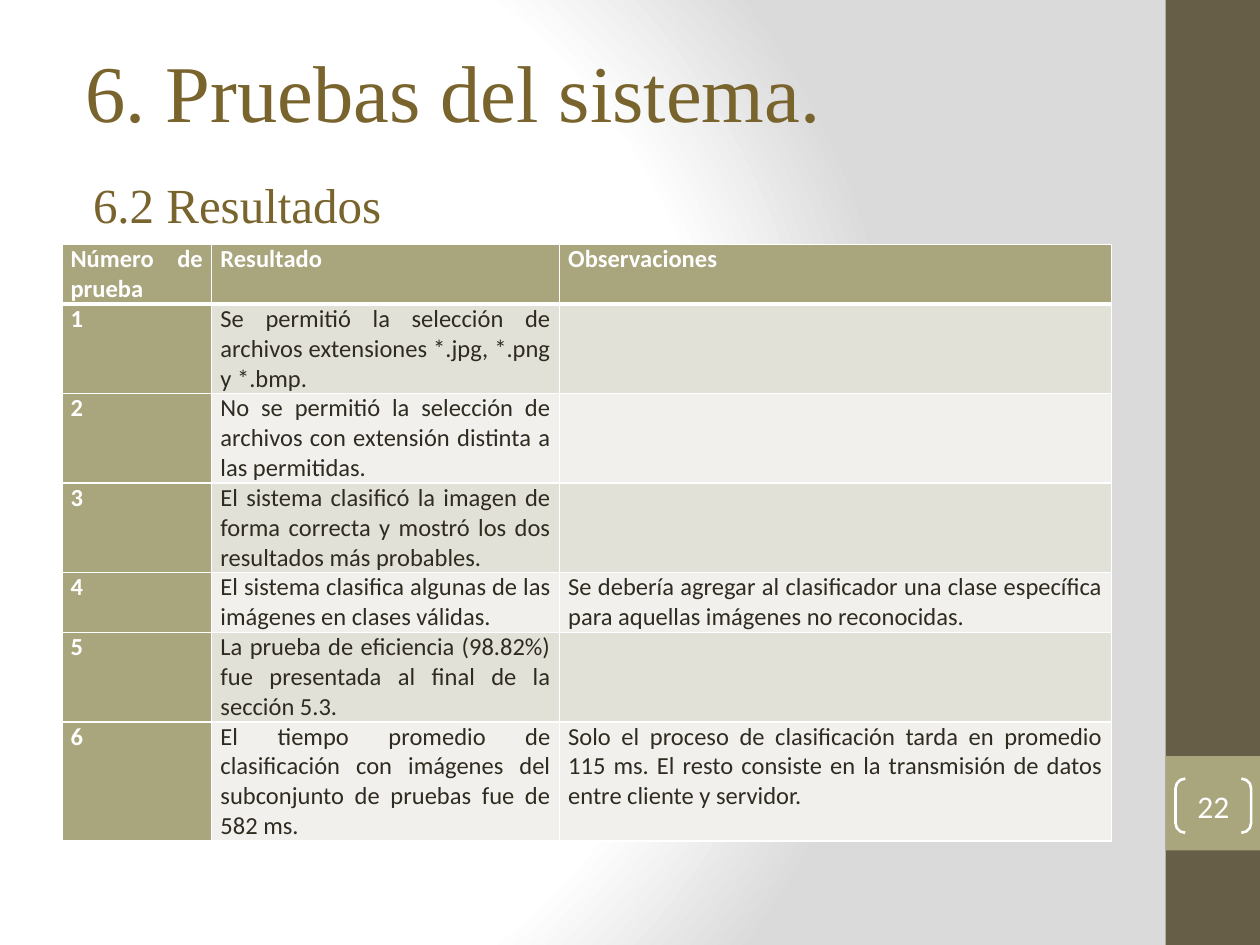
import pptx
import pptx.util
import pptx.oxml
import pptx.oxml.ns
import pptx.dml.color
import pptx.enum.text
import pptx.enum.shapes
import lxml.etree

Inches = pptx.util.Inches
Pt = pptx.util.Pt
Align = pptx.enum.text.PP_ALIGN
Anchor = pptx.enum.text.MSO_ANCHOR
Shapes = pptx.enum.shapes.MSO_SHAPE
qn = pptx.oxml.ns.qn

THEME = {
    "white": "FFFFFF", "shade": "DADADA", "sidebar": "675E47", "accent": "A9A57C",
    "heading": "79642D", "ink": "2F2B20", "bands": ("E2E1D7", "F1F0EC"),
    "heading_font": "Times New Roman", "body_font": "Calibri",
    "title_size": 46, "subtitle_size": 28, "table_size": 14, "number_size": 18,
}


def rgb(value):
    return pptx.dml.color.RGBColor.from_string(value)


def style_text(frame, align, font, size, color, bold=False):
    for paragraph in frame.paragraphs:
        paragraph.alignment = align
        paragraph.font.size = Pt(size)
        for run in paragraph.runs:
            run.font.name = font
            run.font.size = Pt(size)
            run.font.color.rgb = rgb(color)
            run.font.bold = bold


deck = pptx.Presentation()
deck.slide_width = Inches(10)
deck.slide_height = Inches(7.5)
slide = deck.slides.add_slide(deck.slide_layouts[6])

stops = "".join(
    f'<a:gs pos="{position * 1000}"><a:srgbClr val="{THEME[color]}"/></a:gs>'
    for position, color in ((0, "white"), (75, "white"), (100, "shade"))
)
background = pptx.oxml.parse_xml(
    f'<p:bg {pptx.oxml.ns.nsdecls("p", "a")}><p:bgPr><a:gradFill rotWithShape="1">'
    f'<a:gsLst>{stops}</a:gsLst><a:path path="circle">'
    '<a:fillToRect l="20000" t="50000" r="100000" b="50000"/></a:path>'
    '</a:gradFill><a:effectLst/></p:bgPr></p:bg>'
)
slide.element.cSld.insert(0, background)

for top, height, color in ((0, 7.5, "sidebar"), (6, 0.75, "accent")):
    band = slide.shapes.add_shape(
        Shapes.RECTANGLE, Inches(9.25), Inches(top), Inches(0.75), Inches(height))
    band.shadow.inherit = False
    band.fill.solid()
    band.fill.fore_color.rgb = rgb(THEME[color])
    band.line.fill.background()

page_number = slide.shapes.add_shape(
    Shapes.DOUBLE_BRACKET, Inches(9.33), Inches(6.18), Inches(0.6), Inches(0.43))
page_number.adjustments[0] = 0.18
page_number.shadow.inherit = False
page_number.fill.background()
page_number.line.color.rgb = rgb(THEME["white"])
page_number.line.width = Pt(1.5)
number_frame = page_number.text_frame
number_frame.margin_left = number_frame.margin_right = 0
number_frame.margin_top = number_frame.margin_bottom = 0
number_frame.vertical_anchor = Anchor.MIDDLE
number_frame.text = "22"
style_text(number_frame, Align.CENTER, THEME["body_font"], THEME["number_size"], THEME["white"])

rows = [
    ("Número de prueba", "Resultado", "Observaciones"),
    ("1", "Se permitió la selección de archivos extensiones *.jpg, *.png y *.bmp.", ""),
    ("2", "No se permitió la selección de archivos con extensión distinta a las permitidas.", ""),
    ("3", "El sistema clasificó la imagen de forma correcta y mostró los dos resultados más probables.", ""),
    ("4", "El sistema clasifica algunas de las imágenes en clases válidas.",
     "Se debería agregar al clasificador una clase específica para aquellas imágenes no reconocidas."),
    ("5", "La prueba de eficiencia (98.82%) fue presentada al final de la sección 5.3.", ""),
    ("6", "El tiempo promedio de clasificación con imágenes del subconjunto de pruebas fue de 582 ms.",
     "Solo el proceso de clasificación tarda en promedio 115 ms. "
     "El resto consiste en la transmisión de datos entre cliente y servidor."),
]
row_lines = (2, 3, 3, 3, 2, 3, 4)
table_height = 4.67

results = slide.shapes.add_table(
    len(rows), 3, Inches(0.49), Inches(1.94), Inches(8.33), Inches(table_height)).table
for column, width in zip(results.columns, (1.19, 2.76, 4.38)):
    column.width = Inches(width)

for row_index, (texts, lines) in enumerate(zip(rows, row_lines)):
    results.rows[row_index].height = Inches(table_height * lines / sum(row_lines))
    for column_index, text in enumerate(texts):
        cell = results.cell(row_index, column_index)
        is_header = row_index == 0 or column_index == 0
        cell.margin_left = cell.margin_right = Inches(0.07)
        cell.margin_top = cell.margin_bottom = 0
        cell.text_frame.text = text
        style_text(cell.text_frame, Align.JUSTIFY, THEME["body_font"], THEME["table_size"],
                   THEME["white" if is_header else "ink"], is_header)
        properties = cell._tc.get_or_add_tcPr()
        for side in ("lnL", "lnR", "lnT", "lnB"):
            thick = (row_index, side) in ((0, "lnB"), (1, "lnT"))
            border = lxml.etree.SubElement(
                properties, qn(f"a:{side}"), w=str(Pt(3 if thick else 1)))
            border_fill = lxml.etree.SubElement(border, qn("a:solidFill"))
            lxml.etree.SubElement(border_fill, qn("a:srgbClr"), val=THEME["white"])
        cell.fill.solid()
        cell.fill.fore_color.rgb = rgb(
            THEME["accent"] if is_header else THEME["bands"][(row_index - 1) % 2])

headings = (
    ("6.2 Resultados", 0.58, 1.23, 7.65, 0.67, "subtitle_size"),
    ("6. Pruebas del sistema.", 0.52, -0.1, 8.27, 1.25, "title_size"),
)
for text, left, top, width, height, size in headings:
    heading = slide.shapes.add_textbox(
        Inches(left), Inches(top), Inches(width), Inches(height)).text_frame
    heading.word_wrap = True
    heading.vertical_anchor = Anchor.BOTTOM
    heading.text = text
    style_text(heading, Align.JUSTIFY, THEME["heading_font"], THEME[size], THEME["heading"])
    heading.paragraphs[0]._p.get_or_add_pPr().set("marL", str(Inches(0.06)))

deck.save("out.pptx")
